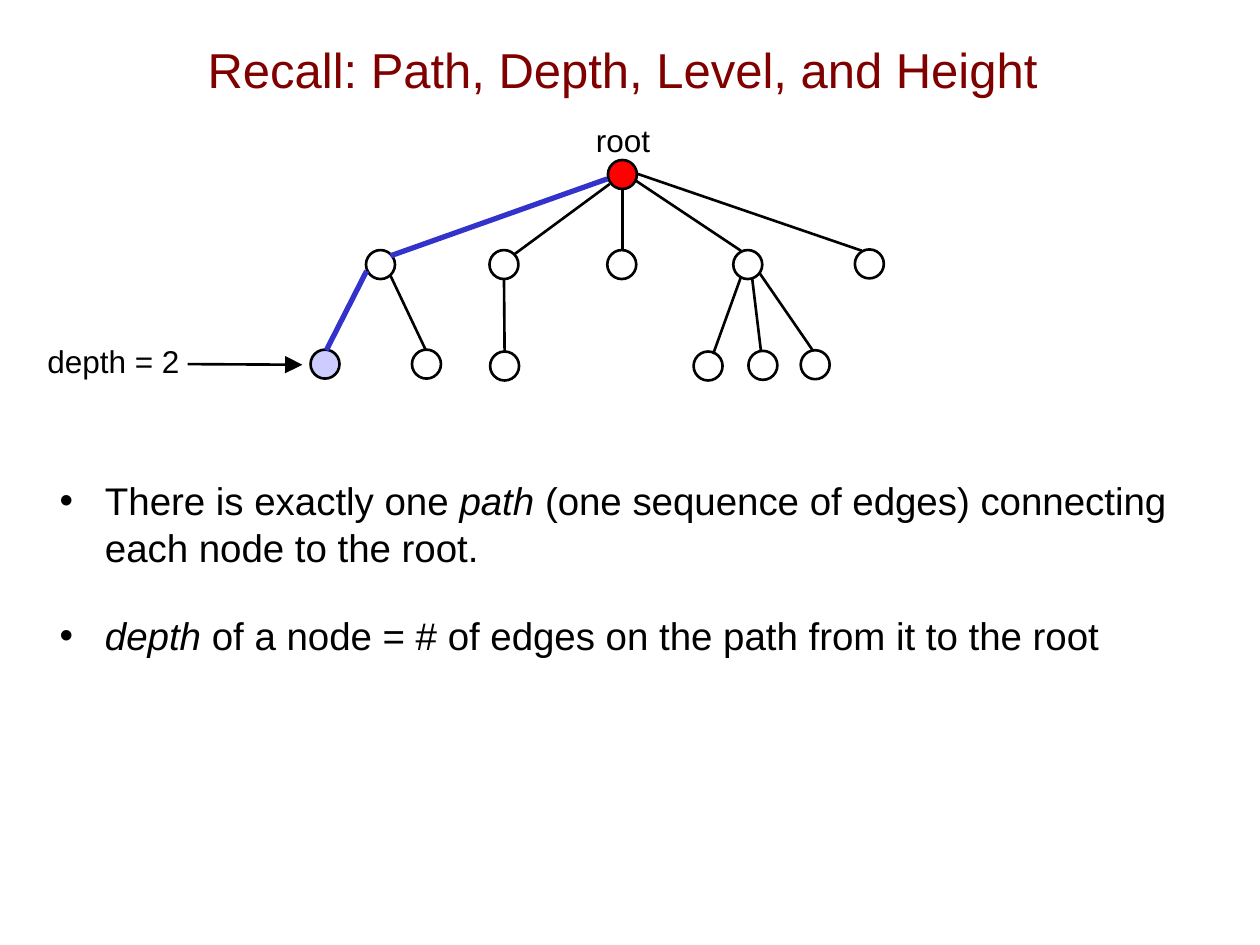
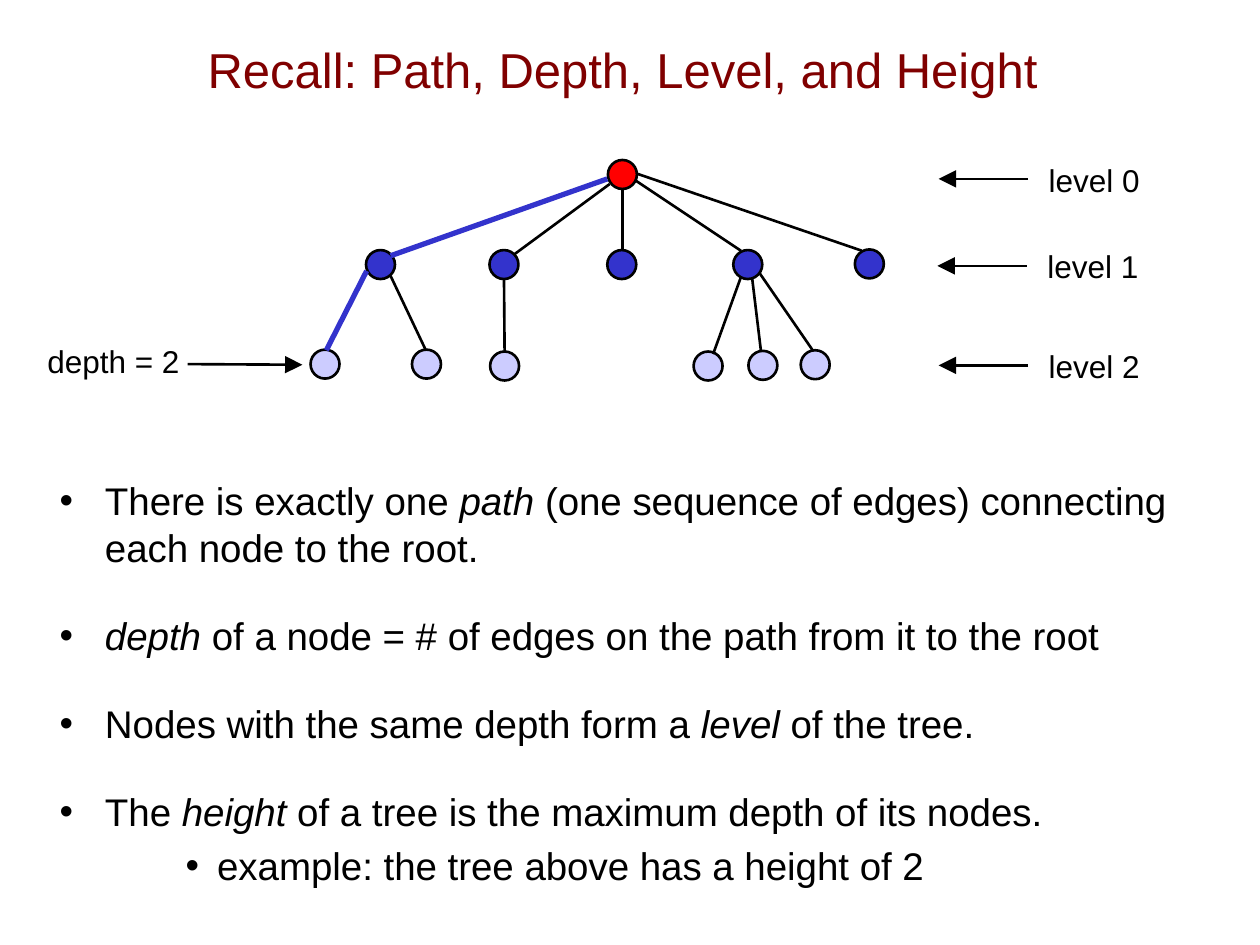
"""Build two slides that recall path, depth, level and height of a tree."""
from dataclasses import dataclass
from typing import Any, Optional

from pptx import Presentation
from pptx import util as u
from pptx.dml.color import RGBColor
from pptx.enum import shapes, text
from pptx.oxml import ns, xmlchemy

WIDTH, HEIGHT = u.Inches(10), u.Inches(7.5)
COLUMN, ROW = WIDTH / 100, HEIGHT / 75

BLACK = RGBColor(0x00, 0x00, 0x00)
MAROON = RGBColor(0x80, 0x00, 0x00)
RED = RGBColor(0xFF, 0x00, 0x00)
BLUE = RGBColor(0x33, 0x33, 0xCC)
LAVENDER = RGBColor(0xCC, 0xCC, 0xFF)

FONT = "Arial"
NODE_SIZE = 2.3
TITLE = "Recall: Path, Depth, Level, and Height"
LABEL_FRAME = {"word_wrap": False, "auto_size": text.MSO_AUTO_SIZE.SHAPE_TO_FIT_TEXT}
TITLE_FRAME = {"word_wrap": True, "vertical_anchor": text.MSO_ANCHOR.MIDDLE}
BODY_FRAME = {"word_wrap": True, "vertical_anchor": text.MSO_ANCHOR.TOP}
CENTERED = {"alignment": text.PP_ALIGN.CENTER}


@dataclass(frozen=True)
class Box:
    """Place on the grid, in columns and rows."""
    left: float
    top: float
    width: float
    height: float

    def place(self) -> tuple[int, int, int, int]:
        """Return the place in slide units."""
        return (round(self.left * COLUMN), round(self.top * ROW),
                round(self.width * COLUMN), round(self.height * ROW))


@dataclass(frozen=True)
class Line:
    """Straight line between two grid points."""
    x1: float
    y1: float
    x2: float
    y2: float
    color: RGBColor = BLACK
    points: float = 1.5
    arrow: bool = False


@dataclass(frozen=True)
class Label:
    """Short centred text beside the tree."""
    words: str
    box: Box
    spacing: float = 1.0


@dataclass(frozen=True)
class Bullet:
    """Bulleted paragraph; words between asterisks are italic."""
    words: str
    before: float = 24
    level: int = 0
    margin: float = 0.36
    hanging: float = 0.36


NODES = (
    ((48.25, 12.7),),
    ((29.05, 19.85), (38.85, 19.85), (48.2, 19.85), (58.2, 19.85), (67.85, 19.8)),
    ((24.65, 27.75), (32.7, 27.75), (38.9, 27.9), (55.05, 27.9), (59.4, 27.85), (63.55, 27.8)),
)
EDGES = (
    Line(48.4, 14.6, 40.8, 20.2),
    Line(49.4, 15, 49.4, 19.9),
    Line(50.4, 14.3, 58.8, 19.9),
    Line(50.6, 13.8, 68.4, 19.9),
    Line(31, 21.9, 33.8, 27.8),
    Line(40, 22.2, 40.05, 27.9),
    Line(58.8, 22, 56.6, 28.1),
    Line(59.7, 22.1, 60.4, 27.9),
    Line(60.3, 21.7, 64.5, 27.8),
    Line(48.2, 14.2, 31, 20.3, BLUE, 3),
    Line(29.1, 21.5, 25.9, 27.8, BLUE, 3),
)
DEPTH_LABEL = Label("depth = 2", Box(2.75, 27, 12.5, 3.7), 0.9)
DEPTH_ARROW = Line(14.9, 28.9, 24, 28.95, arrow=True)
ROOT_LABEL = Label("root", Box(46.3, 9.1, 6.3, 4))
LEVELS = ((74.5, 14.2), (74.4, 21.1), (74.5, 29))
BULLETS = (
    Bullet("There is exactly one *path* (one sequence of edges) connecting "
           "each node to the root.", 0),
    Bullet("*depth* of a node = # of edges on the path from it to the root"),
    Bullet("Nodes with the same depth form a *level* of the tree."),
    Bullet("The *height* of a tree is the maximum depth of its nodes."),
    Bullet("example: the tree above has a height of 2", 4.2, 2, 1.25, 0.25),
)


def apply(target: Any, formats: dict[str, Any]) -> None:
    """Set each format value on the target."""
    for name, value in formats.items():
        setattr(target, name, value)


def add_child(parent: Any, tag: str, **attributes: str) -> Any:
    """Append an XML element and return it."""
    child = xmlchemy.OxmlElement(tag)
    for name, value in attributes.items():
        child.set(name, value)
    parent.append(child)
    return child


def add_frame(slide: Any, box: Box, formats: dict[str, Any]) -> Any:
    """Add a text box and return its text frame."""
    frame = slide.shapes.add_textbox(*box.place()).text_frame
    apply(frame, formats)
    return frame


def write(paragraph: Any, words: str, size: float, color: RGBColor = BLACK) -> None:
    """Write runs, italic between asterisks."""
    for index, part in enumerate(words.split("*")):
        if part:
            run = paragraph.add_run()
            run.text = part
            apply(run.font, {"name": FONT, "size": u.Pt(size), "italic": index % 2 == 1})
            run.font.color.rgb = color


def add_label(slide: Any, label: Label) -> None:
    """Add a label that grows with its text."""
    paragraph = add_frame(slide, label.box, LABEL_FRAME).paragraphs[0]
    apply(paragraph, CENTERED | {"line_spacing": label.spacing})
    write(paragraph, label.words, 18)


def add_line(slide: Any, line: Line) -> None:
    """Add a connector, with an arrowhead at its end if asked."""
    connector = slide.shapes.add_connector(
        shapes.MSO_CONNECTOR.STRAIGHT,
        round(line.x1 * COLUMN), round(line.y1 * ROW),
        round(line.x2 * COLUMN), round(line.y2 * ROW))
    connector.line.color.rgb = line.color
    connector.line.width = u.Pt(line.points)
    properties = connector._element.spPr
    if line.arrow:
        add_child(properties.find(ns.qn("a:ln")), "a:tailEnd",
                  type="triangle", w="lg", len="lg")
    add_child(properties, "a:effectLst")


def add_node(slide: Any, left: float, top: float, fill: Optional[RGBColor]) -> None:
    """Add a tree node, hollow when it has no fill."""
    node = slide.shapes.add_shape(
        shapes.MSO_SHAPE.OVAL, *Box(left, top, NODE_SIZE, NODE_SIZE).place())
    node.shadow.inherit = False
    if fill is None:
        node.fill.background()
    else:
        node.fill.solid()
        node.fill.fore_color.rgb = fill
    node.line.color.rgb = BLACK
    node.line.width = u.Pt(1.5)


def add_title(slide: Any) -> None:
    """Add the shared title."""
    paragraph = add_frame(slide, Box(6.4, 0.8, 86, 9.3), TITLE_FRAME).paragraphs[0]
    apply(paragraph, CENTERED)
    write(paragraph, TITLE, 28, MAROON)


def add_bullets(slide: Any, bullets: tuple[Bullet, ...]) -> None:
    """Add the body text below the tree."""
    frame = add_frame(slide, Box(3.75, 37.4, 91.7, 33.2), BODY_FRAME)
    for index, bullet in enumerate(bullets):
        paragraph = frame.add_paragraph() if index else frame.paragraphs[0]
        apply(paragraph, {"level": bullet.level, "space_before": u.Pt(bullet.before)})
        properties = paragraph._p.get_or_add_pPr()
        properties.set("marL", str(u.Inches(bullet.margin)))
        properties.set("indent", str(-u.Inches(bullet.hanging)))
        add_child(add_child(properties, "a:buClr"), "a:srgbClr", val=str(BLACK))
        add_child(properties, "a:buFont", typeface=FONT)
        add_child(properties, "a:buChar", char="•")
        write(paragraph, bullet.words, 22)


def add_tree(slide: Any, fills: tuple[Optional[RGBColor], ...]) -> None:
    """Add the tree, one fill per level, and mark the depth of its first leaf."""
    for depth, (nodes, fill) in enumerate(zip(NODES, fills)):
        for index, (left, top) in enumerate(nodes):
            first_leaf = depth == 2 and index == 0
            add_node(slide, left, top, LAVENDER if first_leaf else fill)
    for line in EDGES + (DEPTH_ARROW,):
        add_line(slide, line)
    add_label(slide, DEPTH_LABEL)


def add_levels(slide: Any) -> None:
    """Point a labelled arrow at each level."""
    for level, (tip, row) in enumerate(LEVELS):
        add_line(slide, Line(tip + 7.1, row, tip, row, arrow=True))
        add_label(slide, Label(f"level {level}", Box(tip + 7.7, row - 1.95, 9.3, 4)))


def main() -> None:
    """Build and save the presentation."""
    presentation = Presentation()
    apply(presentation, {"slide_width": WIDTH, "slide_height": HEIGHT})
    blank = presentation.slide_layouts[6]
    path_slide, level_slide = (presentation.slides.add_slide(blank) for _ in range(2))
    for slide, bullets, fills in (
        (path_slide, BULLETS[:2], (RED, None, None)),
        (level_slide, BULLETS, (RED, BLUE, LAVENDER)),
    ):
        add_title(slide)
        add_bullets(slide, bullets)
        add_tree(slide, fills)
    add_label(path_slide, ROOT_LABEL)
    add_levels(level_slide)
    presentation.save("out.pptx")


if __name__ == "__main__":
    main()
